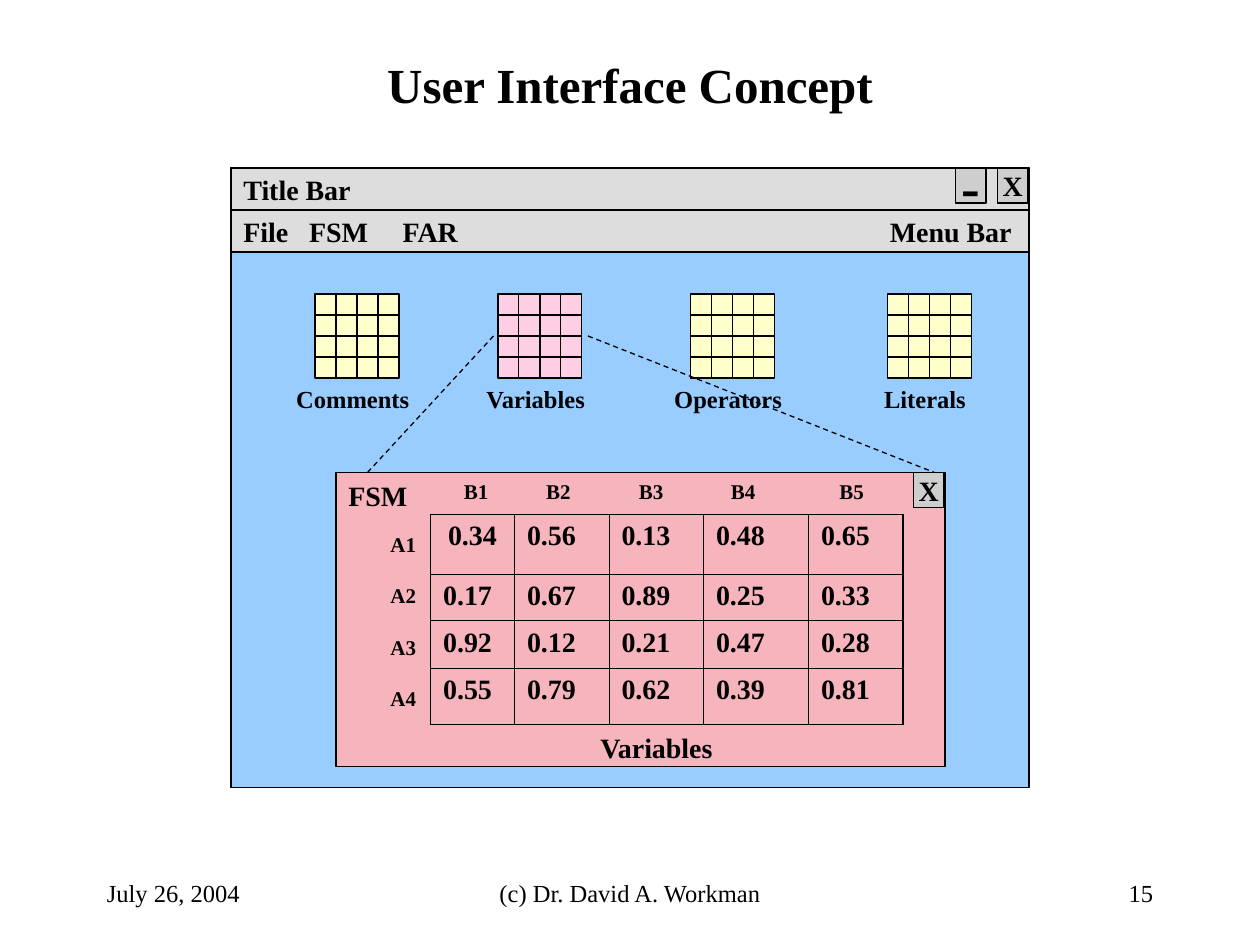
from lxml.etree import SubElement
from pptx import Presentation
from pptx.dml.color import RGBColor
from pptx.enum.dml import MSO_LINE
from pptx.enum.shapes import MSO_CONNECTOR, MSO_SHAPE
from pptx.enum.text import MSO_ANCHOR as Anchor, PP_ALIGN as Align
from pptx.oxml.ns import qn
from pptx.util import Pt

BLACK = RGBColor(0x00, 0x00, 0x00)
SKY = RGBColor(0x99, 0xCC, 0xFF)
BAR_GRAY = RGBColor(0xDD, 0xDD, 0xDD)
BUTTON_GRAY = RGBColor(0xCE, 0xCE, 0xCE)
CREAM = RGBColor(0xFF, 0xFF, 0xCC)
PINK = RGBColor(0xFE, 0xCE, 0xE4)
ROSE = RGBColor(0xF6, 0xB4, 0xBC)

ICON_TOP, ICON_SIZE, ICON_CELL = 168, 48, 12
ICONS = [
    ("Comments", 180, CREAM),
    ("Variables", 284.5, PINK),
    ("Operators", 394.5, CREAM),
    ("Literals", 507, CREAM),
]
COLUMN_WIDTHS = [48, 54, 54, 60, 54]
ROW_HEIGHTS = [34.3, 26.3, 27.4, 32]
FSM_VALUES = [
    ["0.34", "0.56", "0.13", "0.48", "0.65"],
    ["0.17", "0.67", "0.89", "0.25", "0.33"],
    ["0.92", "0.12", "0.21", "0.47", "0.28"],
    ["0.55", "0.79", "0.62", "0.39", "0.81"],
]


def set_attributes(target, values):
    for name, value in values.items():
        setattr(target, name, value)


def write_paragraph(paragraph, text, size, bold=True, align=Align.LEFT, tabs=()):
    if tabs:
        tab_list = SubElement(paragraph._p.get_or_add_pPr(), qn("a:tabLst"))
        for position, kind in tabs:
            SubElement(tab_list, qn("a:tab"), pos=str(Pt(position)), algn=kind)
    paragraph.alignment = align
    run = paragraph.add_run()
    run.text = text
    set_attributes(run.font, {"name": "Times New Roman", "size": Pt(size), "bold": bold})
    run.font.color.rgb = BLACK


def add_text(slide, box, text, size, anchor=Anchor.TOP, wrap=False, **style):
    shape = slide.shapes.add_textbox(*map(Pt, box))
    set_attributes(shape.text_frame, {"word_wrap": wrap, "vertical_anchor": anchor})
    write_paragraph(shape.text_frame.paragraphs[0], text, size, **style)
    return shape


def add_rectangle(slide, box, color, text="", size=16, wrap=False, **style):
    shape = slide.shapes.add_shape(MSO_SHAPE.RECTANGLE, *map(Pt, box))
    shape.shadow.inherit = False
    shape.fill.solid()
    shape.fill.fore_color.rgb = color
    shape.line.color.rgb = BLACK
    shape.line.width = Pt(0.75)
    if text:
        set_attributes(shape.text_frame, {"word_wrap": wrap, "vertical_anchor": Anchor.MIDDLE})
        write_paragraph(shape.text_frame.paragraphs[0], text, size, **style)
    return shape


def add_line(slide, ends, dash=None):
    line = slide.shapes.add_connector(MSO_CONNECTOR.STRAIGHT, *map(Pt, ends))
    SubElement(line._element.spPr, qn("a:effectLst"))
    line.line.color.rgb = BLACK
    set_attributes(line.line, {"width": Pt(0.75), "dash_style": dash})
    return line


def add_icon(slide, label, left, color):
    right, bottom = left + ICON_SIZE, ICON_TOP + ICON_SIZE
    square = add_rectangle(slide, (left, ICON_TOP, ICON_SIZE, ICON_SIZE), color)
    for offset in range(ICON_CELL, ICON_SIZE, ICON_CELL):
        x, y = left + offset, ICON_TOP + offset
        vertical = add_line(slide, (x, ICON_TOP, x, bottom))
        horizontal = add_line(slide, (left, y, right, y))
        if offset == ICON_SIZE / 2:
            for line, first, last in ((vertical, 0, 2), (horizontal, 1, 3)):
                line.begin_connect(square, first)
                line.end_connect(square, last)
    label_width = 84
    label_left = left + (ICON_SIZE - label_width) / 2 - 2.4
    add_text(slide, (label_left, bottom, label_width, 24.5), label, 14, align=Align.CENTER)


def add_button(slide, left, top, text, size=16):
    add_rectangle(slide, (left, top, 17.5, 20), BUTTON_GRAY, text, size, align=Align.CENTER)


def add_border(cell, side, width):
    line = SubElement(cell._tc.get_or_add_tcPr(), qn(f"a:ln{side}"), w=str(Pt(width)))
    fill = SubElement(line, qn("a:solidFill"))
    SubElement(fill, qn("a:srgbClr"), val=str(BLACK))


def add_value_table(slide):
    rows, columns = len(ROW_HEIGHTS), len(COLUMN_WIDTHS)
    box = (246, 294, sum(COLUMN_WIDTHS), sum(ROW_HEIGHTS))
    table = slide.shapes.add_table(rows, columns, *map(Pt, box)).table
    set_attributes(table, {"first_row": False, "horz_banding": False})
    for column, width in zip(table.columns, COLUMN_WIDTHS):
        column.width = Pt(width)
    for r, values in enumerate(FSM_VALUES):
        table.rows[r].height = Pt(ROW_HEIGHTS[r])
        for c, value in enumerate(values):
            cell = table.cell(r, c)
            outer = {"L": c == 0, "R": c == columns - 1, "T": r == 0, "B": r == rows - 1}
            for side, is_outer in outer.items():
                add_border(cell, side, 1.08 if is_outer else 0.45)
            cell.fill.background()
            align = Align.CENTER if r == c == 0 else Align.LEFT
            write_paragraph(cell.text_frame.paragraphs[0], value, 16, align=align)


def add_row_labels(slide):
    labels = ["A1", "A2", "A3", "A4"]
    frame = add_text(slide, (216, 300, 29, 108), labels[0], 12).text_frame
    for label in labels[1:]:
        paragraph = frame.add_paragraph()
        paragraph.space_before = Pt(15)
        write_paragraph(paragraph, label, 12)


def add_title(slide, text):
    title = slide.shapes.title
    box = {"left": 54, "top": 24, "width": 612, "height": 48}
    set_attributes(title, {name: Pt(value) for name, value in box.items()})
    title.text_frame.vertical_anchor = Anchor.MIDDLE
    write_paragraph(title.text_frame.paragraphs[0], text, 28, align=Align.CENTER)


def add_window(slide):
    add_rectangle(slide, (132, 96, 456, 354), SKY)
    add_rectangle(slide, (132, 96, 456, 24), BAR_GRAY, "Title Bar")
    add_rectangle(slide, (132, 120, 456, 24), BAR_GRAY, "File\tFSM\tFAR\tMenu Bar",
                  wrap=True, tabs=[(37.5, "l"), (91, "l"), (439, "r")])
    add_button(slide, 570, 96, "X")
    add_button(slide, 546, 96, "-", 32)


def add_panel(slide):
    add_rectangle(slide, (192, 270, 348, 168), ROSE)
    add_value_table(slide)
    add_text(slide, (336, 414, 80, 26.5), "Variables", 16)
    add_row_labels(slide)
    add_text(slide, (258, 270, 250, 21.5), "B1\tB2\tB3\tB4\tB5", 12, wrap=True,
             tabs=[(47, "l"), (100, "l"), (152.5, "l"), (214.5, "l")])
    add_line(slide, (282, 192, 210, 270), MSO_LINE.DASH)
    add_line(slide, (336, 192, 534, 270), MSO_LINE.DASH)
    add_button(slide, 522, 270, "X")
    add_text(slide, (192, 270, 48, 26.5), "FSM", 16)


def add_footer(slide):
    for left, width, text, align in (
        (54, 150, "July 26, 2004", Align.LEFT),
        (246, 228, "(c) Dr. David A. Workman", Align.CENTER),
        (516, 150, "15", Align.RIGHT),
    ):
        add_text(slide, (left, 492, width, 36), text, 14, anchor=Anchor.MIDDLE,
                 wrap=True, bold=False, align=align)


def main():
    presentation = Presentation()
    set_attributes(presentation, {"slide_width": Pt(720), "slide_height": Pt(540)})
    slide = presentation.slides.add_slide(presentation.slide_layouts[5])
    add_title(slide, "User Interface Concept")
    add_window(slide)
    for label, left, color in ICONS:
        add_icon(slide, label, left, color)
    add_panel(slide)
    add_footer(slide)
    presentation.save("out.pptx")


if __name__ == "__main__":
    main()
